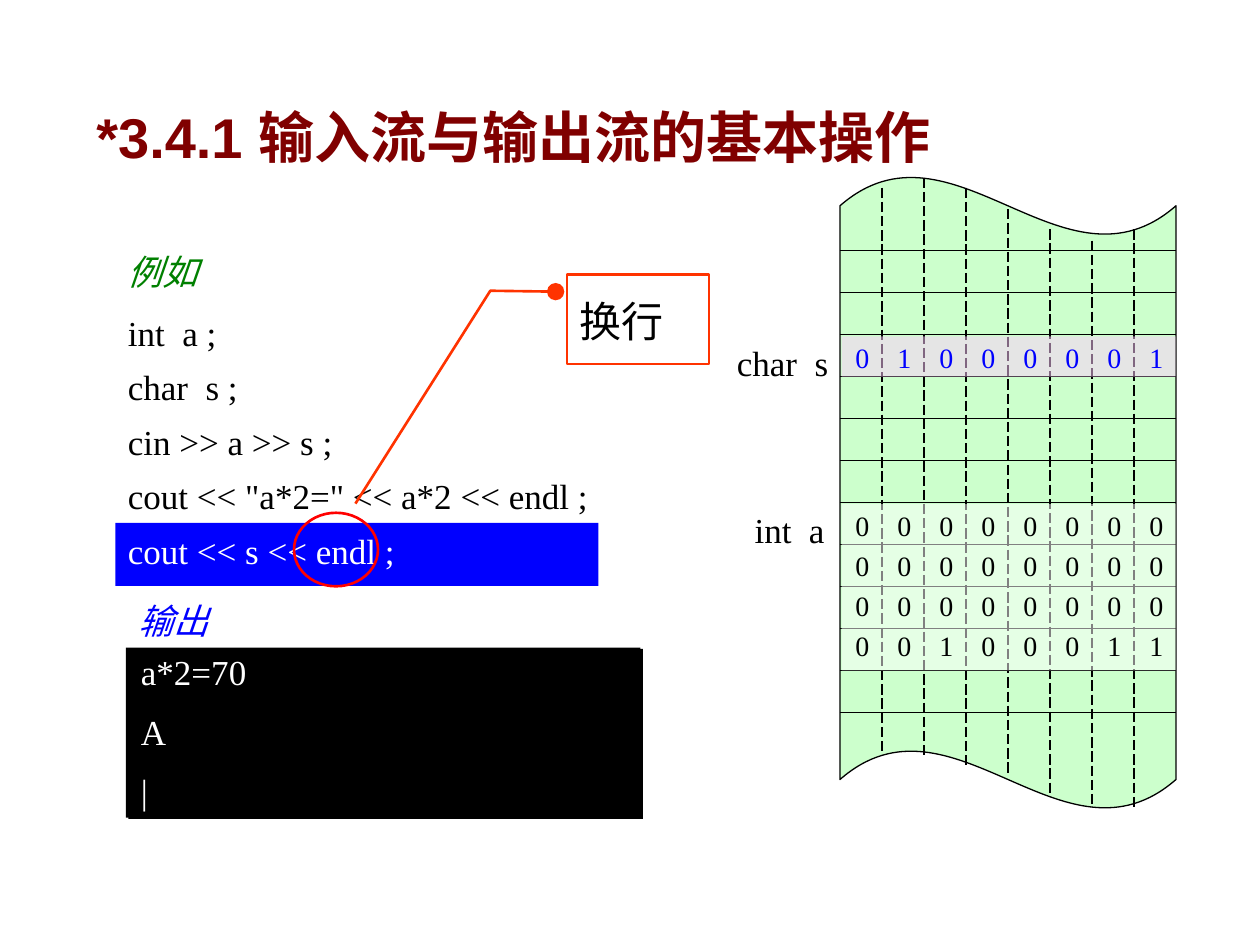
from lxml import etree
from pptx import Presentation
from pptx.dml.color import RGBColor
from pptx.enum.dml import MSO_LINE
from pptx.enum.shapes import MSO_CONNECTOR, MSO_SHAPE
from pptx.enum.text import MSO_ANCHOR, PP_ALIGN
from pptx.oxml.ns import qn
from pptx.util import Inches, Pt

RECT, OVAL, WAVE = MSO_SHAPE.RECTANGLE, MSO_SHAPE.OVAL, MSO_SHAPE.WAVE
CALLOUT = MSO_SHAPE.LINE_CALLOUT_2
STRAIGHT = MSO_CONNECTOR.STRAIGHT
DASH = MSO_LINE.LONG_DASH
LEFT, TOP = PP_ALIGN.LEFT, MSO_ANCHOR.TOP

# The slide is a grid of 30 columns; one unit is also one memory cell.
UNIT = Inches(10) / 30
MEM_X, MEM_Y, BITS, ROWS = 20, 5.97, 8, 12
TOPS = (4.47, 4.23, 4.47, 4.98, 5.46, 5.73, 5.46)
ENDS = (17.97, 17.97, 18.21, 18.48, 18.96, 19.23, 19.23)
CODE = ("int  a ;", "char  s ;", "cin >> a >> s ;",
        'cout << "a*2=" << a*2 << endl ;', "cout << s << endl ;")
ZEROS = "00000000"


def grid(*sizes):
    return [round(n * UNIT) for n in sizes]


def color(text):
    return RGBColor.from_string(text)


def set_tabs(para):
    """Put one tab stop at the start of each bit column."""
    tabs = etree.SubElement(para._p.get_or_add_pPr(), qn("a:tabLst"))
    for n in range(1, BITS):
        etree.SubElement(tabs, qn("a:tab"), pos=str(round(n * UNIT)), algn="l")


def write(shape, text, size=20, hue="000000", font="Times New Roman",
          bold=False, slant=False, space=1.0, before=0, tabs=False):
    frame = shape.text_frame
    frame.word_wrap = True
    frame.margin_right = 0
    frame.vertical_anchor = TOP
    for n, line in enumerate(text.split("\n")):
        para = frame.paragraphs[0] if n == 0 else frame.add_paragraph()
        if tabs:
            set_tabs(para)
        para.alignment = LEFT
        para.line_spacing = space
        if n and before:
            para.space_before = Pt(before)
        run = para.add_run()
        run.text = line
        face = run.font
        face.name, face.size = font, Pt(size)
        face.bold, face.italic = bold, slant
        face.color.rgb = color(hue)


def label(slide, box, text, **style):
    shape = slide.shapes.add_textbox(*grid(*box))
    write(shape, text, **style)
    return shape


def block(slide, kind, box, fill=None, line=None, width=0.75, alpha=None):
    shape = slide.shapes.add_shape(kind, *grid(*box))
    shape.shadow.inherit = False
    if fill:
        shape.fill.solid()
        shape.fill.fore_color.rgb = color(fill)
        if alpha:
            tint = shape.fill._xPr.find(".//" + qn("a:srgbClr"))
            etree.SubElement(tint, qn("a:alpha"), val=str(alpha * 1000))
    else:
        shape.fill.background()
    if line:
        shape.line.color.rgb = color(line)
        shape.line.width = Pt(width)
    else:
        shape.line.fill.background()
    return shape


def rule(slide, start, end, dash=None):
    line = slide.shapes.add_connector(STRAIGHT, *grid(*start, *end))
    line.line.color.rgb = color("000000")
    line.line.width = Pt(0.75)
    if dash:
        line.line.dash_style = dash
    etree.SubElement(line._element.spPr, qn("a:effectLst"))


def bits(slide, top, height, rows, hue):
    text = "\n".join("\t".join(row) for row in rows)
    label(slide, (20.07, top, 7.92, height), text,
          size=16, hue=hue, space=1.2, tabs=True)


def memory(slide):
    """Draw the strip of memory with its two variables."""
    strip = block(slide, WAVE, (MEM_X, 4.2, BITS, 15.06), "CCFFCC", "000000")
    strip.adjustments[0] = 0.0465
    strip.adjustments[1] = 0
    for n in range(ROWS):
        y = MEM_Y + n
        rule(slide, (MEM_X, y), (MEM_X + BITS, y))
    for n, (top, end) in enumerate(zip(TOPS, ENDS), 1):
        rule(slide, (MEM_X + n, top), (MEM_X + n, end), DASH)

    label(slide, (17.67, 11.97, 2.25, 1.32), "int  a")
    block(slide, RECT, (20.04, 12, 7.95, 3.96), "FFFFFF", alpha=50)
    label(slide, (17.25, 7.98, 2.75, 1.32), "char  s")
    block(slide, RECT, (20.04, 8.01, 7.95, 0.96), "FFCCFF", alpha=50)
    bits(slide, 11.79, 4.14, [ZEROS] * 3 + ["00100011"], "000000")
    bits(slide, 7.8, 1.26, ["01000001"], "0000FF")


def code(slide):
    block(slide, RECT, (2.75, 12.45, 11.5, 1.5), "0000FF")
    label(slide, (2.75, 5.73, 2.5, 1.41), "例如",
          hue="008000", slant=True, space=1.1)
    box = label(slide, (2.75, 6.96, 12, 6.81), "\n".join(CODE), space=1.3)
    last = box.text_frame.paragraphs[-1].runs[0]
    last.font.color.rgb = color("FFFFFF")


def callout(slide):
    block(slide, OVAL, (7, 12.21, 2, 1.75), line="FF0000", width=1.5)
    note = block(slide, CALLOUT, (13.5, 6.54, 3.38, 2.13),
                 "FFFFFF", "FF3300", 1.5)
    for n, share in enumerate((0.19, -0.08, 0.18, -0.54, 2.56, -1.49)):
        note.adjustments[n] = share
    etree.SubElement(note.line._get_or_add_ln(), qn("a:headEnd"),
                     type="oval", w="lg", len="lg")
    write(note, "换行", size=24, space=1.3)


def output(slide):
    label(slide, (3, 14.13, 2.25, 1.32), "输出", hue="0000FF", slant=True)
    block(slide, RECT, (3, 15.42, 12.25, 4.05), "000000")
    screen = block(slide, RECT, (3.06, 15.45, 12.25, 4.05), "000000")
    write(screen, "a*2=70\nA\n|", hue="FFFFFF", space=0.9, before=12.5)


def main():
    deck = Presentation()
    deck.slide_width, deck.slide_height = Inches(10), Inches(7.5)
    slide = deck.slides.add_slide(deck.slide_layouts[6])
    code(slide)
    callout(slide)
    memory(slide)
    output(slide)
    label(slide, (2, 1.5, 26.5, 2.25), "*3.4.1 输入流与输出流的基本操作",
          size=32, hue="800000", font="Arial", bold=True, space=1.5)
    deck.save("out.pptx")


if __name__ == "__main__":
    main()
